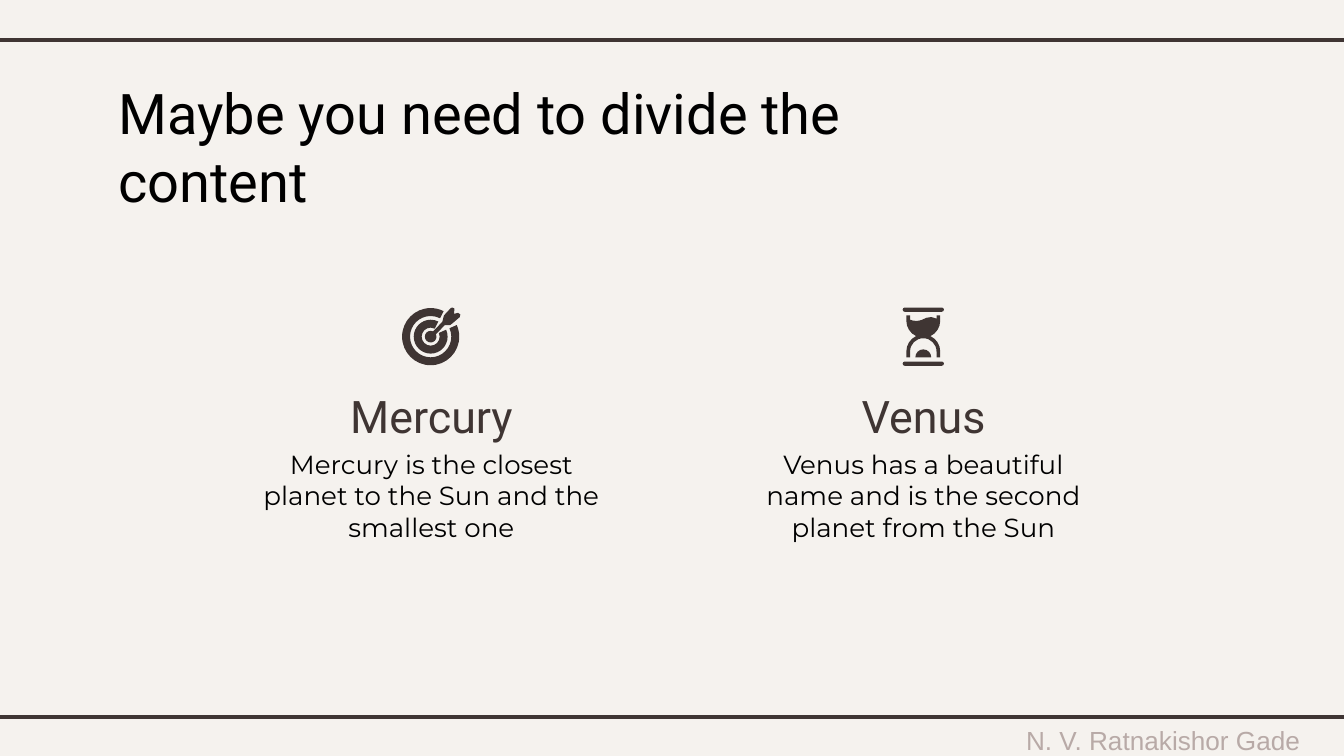
from math import ceil, cos, floor, radians, sin, tan

from lxml import etree
from pptx import Presentation
from pptx.dml.color import RGBColor
from pptx.enum.shapes import MSO_CONNECTOR
from pptx.enum.text import MSO_ANCHOR, PP_ALIGN
from pptx.oxml.ns import qn
from pptx.util import Cm, Pt

CREAM = RGBColor(0xF5, 0xF2, 0xEE)
BROWN = RGBColor(0x3F, 0x35, 0x33)
BLACK = RGBColor(0, 0, 0)
TAUPE = RGBColor(0xB8, 0xAA, 0xA7)

# All lengths below are centimetres.
WIDTH, HEIGHT = 25.4, 14.28
RULE_TOPS = [0.76, 13.54]
COLUMN_WIDTH = 6.91
ICON_Y = 6.36

TITLE = "Maybe you need to divide the content"
AUTHOR = "N. V. Ratnakishor Gade"
COLUMNS = [
    {"left": 4.7, "icon_x": 8.14, "icon": "target", "name": "Mercury",
     "text": "Mercury is the closest planet to the Sun and the smallest one"},
    {"left": 14, "icon_x": 17.45, "icon": "hourglass", "name": "Venus",
     "text": "Venus has a beautiful name and is the second planet from the Sun"},
]


# An outline is a list of segments: one point is a line, three are a Bezier curve.
def lines(*points):
    return [[point] for point in points]


def arc(radius, start, end, center_x=0.0, center_y=0.0):
    """Line to the start of an arc, then curves split at the quarter circles."""
    low, high = sorted((start, end))
    quarters = [90 * n for n in range(floor(low / 90) + 1, ceil(high / 90))]
    stops = sorted([low, *quarters, high], reverse=start > end)

    def place(degrees, pull=0.0):
        x, y = cos(radians(degrees)), sin(radians(degrees))
        return center_x + radius * (x - pull * y), center_y + radius * (y + pull * x)

    segments = lines(place(start))
    for first, last in zip(stops, stops[1:]):
        pull = 4 / 3 * tan(radians(last - first) / 4)
        segments.append([place(first, pull), place(last, -pull), place(last)])
    return segments


def open_ring(outer, inner):
    """Ring with a gap at the upper right for the arrow."""
    return arc(outer, -24, 297) + arc(inner, 297, -24)


def cap(center_y):
    return arc(0.04, 90, 270, -0.35, center_y) + arc(0.04, -90, 90, 0.35, center_y)


ARROW = arc(0.11, -25, 295) + lines(
    (0.22, -0.28), (0.25, -0.4), (0.38, -0.54), (0.41, -0.55), (0.45, -0.53),
    (0.44, -0.43), (0.52, -0.45), (0.56, -0.42), (0.55, -0.37), (0.41, -0.25),
    (0.37, -0.22), (0.27, -0.22))
SAND_TOP = lines((0.32, -0.4), (0.25, -0.4), (0.25, -0.34)) + [
    [(0.21, -0.35), (0.18, -0.37), (0.15, -0.37)],
    [(0.08, -0.37), (0.03, -0.35), (-0.02, -0.32)],
    [(-0.09, -0.29), (-0.18, -0.29), (-0.25, -0.32)],
] + lines((-0.25, -0.4), (-0.32, -0.4))
GLASS = (SAND_TOP + arc(0.32, 180, 115, 0, -0.3) + arc(0.32, 245, 180, 0, 0.28)
         + lines((-0.32, 0.39), (-0.25, 0.39)) + arc(0.25, 180, 360, 0, 0.28)
         + lines((0.25, 0.39), (0.32, 0.39)) + arc(0.32, 360, 295, 0, 0.28)
         + arc(0.32, 65, 0, 0, -0.3))

ICON_OUTLINES = {
    "target": [ARROW, open_ring(0.32, 0.17), open_ring(0.54, 0.39)],
    "hourglass": [arc(0.15, 180, 360, 0, 0.39), GLASS, cap(0.51), cap(-0.51)],
}


def add_outline(shapes, outline, center_x):
    points = [(Cm(center_x + x), Cm(ICON_Y + y))
              for segment in outline for x, y in segment]
    builder = shapes.build_freeform(*points[0])
    builder.add_line_segments(points[1:], close=True)
    shape = builder.convert_to_shape()

    # Join each three line points of a curved segment into one curve.
    line_points = iter(list(shape.element.iter(qn("a:lnTo"))))
    for segment in outline[1:]:
        first, *others = [next(line_points) for _ in segment]
        if others:
            first.tag = qn("a:cubicBezTo")
            for other in others:
                first.append(other[0])
                other.getparent().remove(other)

    shape.shadow.inherit = False
    shape.fill.solid()
    shape.fill.fore_color.rgb = BROWN
    shape.line.fill.background()


def add_icon(slide, kind, center_x):
    shapes = slide.shapes.add_group_shape().shapes
    for outline in ICON_OUTLINES[kind]:
        add_outline(shapes, outline, center_x)


def add_text(slide, text, box, font_name, size, color, align=PP_ALIGN.CENTER):
    frame = slide.shapes.add_textbox(*map(Cm, box)).text_frame
    frame.word_wrap = True
    frame.margin_left = frame.margin_right = Cm(0.25)
    frame.margin_top = frame.margin_bottom = Cm(0.25)
    frame.text = text
    paragraph = frame.paragraphs[0]
    paragraph.alignment = align
    font = paragraph.runs[0].font
    font.name, font.size = font_name, Pt(size)
    font.color.rgb = color
    return frame


def add_rule(slide, top):
    rule = slide.shapes.add_connector(
        MSO_CONNECTOR.STRAIGHT, Cm(-0.2), Cm(top), Cm(WIDTH + 0.2), Cm(top))
    rule.line.color.rgb = BROWN
    rule.line.width = Pt(2.25)
    etree.SubElement(rule.element.find(qn("p:spPr")), qn("a:effectLst"))


def main():
    presentation = Presentation()
    presentation.slide_width, presentation.slide_height = Cm(WIDTH), Cm(HEIGHT)
    slide = presentation.slides.add_slide(presentation.slide_layouts[6])
    slide.background.fill.solid()
    slide.background.fill.fore_color.rgb = CREAM

    author = add_text(slide, AUTHOR, (18.57, 13.74, 6.83, 0.48), "Arial", 14, TAUPE)
    author.vertical_anchor = MSO_ANCHOR.MIDDLE
    author.margin_top = author.margin_bottom = Cm(0.13)
    for top in RULE_TOPS:
        add_rule(slide, top)
    add_text(slide, TITLE, (1.99, 1.24, 17.58, 1.6), "Roboto", 30, BLACK, PP_ALIGN.LEFT)
    for column in reversed(COLUMNS):
        left = column["left"]
        add_text(slide, column["name"], (left, 7.09, COLUMN_WIDTH, 1.4),
                 "Roboto", 24, BROWN)
        add_text(slide, column["text"], (left, 8.22, COLUMN_WIDTH, 2.51),
                 "Montserrat", 14, BLACK)
    for column in COLUMNS:
        add_icon(slide, column["icon"], column["icon_x"])
    presentation.save("out.pptx")


if __name__ == "__main__":
    main()
